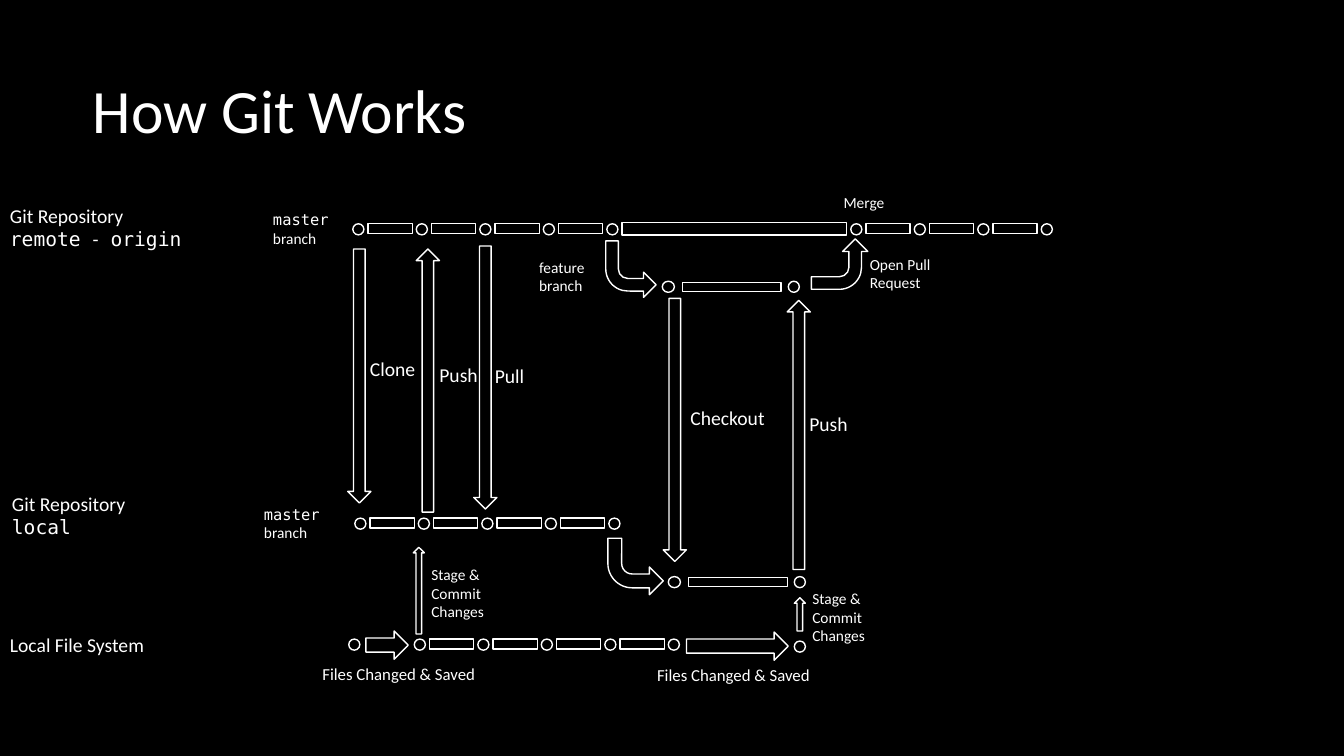
from pptx import Presentation
from pptx.dml.color import RGBColor
from pptx.enum.shapes import MSO_SHAPE as Geo
from pptx.enum.text import MSO_ANCHOR as Anchor, MSO_AUTO_SIZE as Fit, PP_ALIGN as Align
from pptx.util import Inches, Pt

CELL = 0.1
COLS, ROWS = 133.33, 75
DOT, BAR, STEP = 1.1, 4.4, 6.3
INK, BASE = "FFFFFF", "000000"
SANS, MONO = "Calibri", "DejaVu Sans Mono"
STAGE = "Stage & Commit Changes"
SAVED = "Files Changed & Saved"


def hue(code):
    return RGBColor.from_string(code)


def span(*cells):
    return [Inches(cell * CELL) for cell in cells]


def put(item, **form):
    for name, value in form.items():
        setattr(item, name, value)


def shape(slide, kind, box, turn=0, flip=False, adjust=()):
    item = slide.shapes.add_shape(kind, *span(*box))
    item.shadow.inherit = False
    item.fill.solid()
    item.fill.fore_color.rgb = hue(BASE)
    item.line.color.rgb = hue(INK)
    item.line.width = Pt(1)
    item.rotation = turn
    for index, value in enumerate(adjust):
        item.adjustments[index] = value
    if flip:
        item._element.spPr.xfrm.set("flipH", "1")


def bend(slide, box, turn=180):
    shape(slide, Geo.BENT_ARROW, box, turn, True, (0.25, 0.25, 0.25, 0.438))


def text(slide, box, lines, size):
    frame = slide.shapes.add_textbox(*span(*box)).text_frame
    put(frame, word_wrap=True, auto_size=Fit.SHAPE_TO_FIT_TEXT)
    for index, line in enumerate(lines.split("\n")):
        para = frame.paragraphs[0] if index == 0 else frame.add_paragraph()
        for place, part in enumerate(line.split("`")):
            if part:
                run = para.add_run()
                run.text = part
                put(run.font, name=MONO if place % 2 else SANS, size=Pt(size))
                run.font.color.rgb = hue(INK)


def dot(slide, x, y, wide=DOT):
    shape(slide, Geo.OVAL, (x, y, wide, DOT))


def bar(slide, x, y, wide=BAR, high=1):
    shape(slide, Geo.RECTANGLE, (x, y, wide, high))


def chain(slide, x, y, count):
    for index in range(count):
        left = x + index * STEP
        dot(slide, left, y)
        if index < count - 1:
            bar(slide, left + 1.5, y)


def side(slide, x, y):
    dot(slide, x, y, 1.2)
    bar(slide, x + 2, y + 0.1, 9.8, 0.9)
    dot(slide, x + 12.5, y)


def stage(slide, x, y, high, drop):
    shape(slide, Geo.UP_ARROW, (x, y, 1.1, high))
    text(slide, (x + 0.8, y + drop, 7.5, 6.5), STAGE, 11)


def edit(slide, x, y, wide, shift):
    shape(slide, Geo.RIGHT_ARROW, (x, y, wide, 2.8))
    text(slide, (x + shift, y + 2.8, 18, 3), SAVED, 12)


def head(slide, box):
    title = slide.shapes.title
    put(title, **dict(zip(("left", "top", "width", "height"), span(*box))))
    frame = title.text_frame
    put(frame, vertical_anchor=Anchor.MIDDLE, word_wrap=True, margin_left=0,
        margin_top=0, margin_right=0, margin_bottom=0)
    frame.text = "How Git Works"
    para = frame.paragraphs[0]
    put(para, alignment=Align.LEFT, line_spacing=0.9)
    put(para.font, name=SANS, size=Pt(44))
    para.font.color.rgb = hue(INK)


def remote(slide, x, y):
    text(slide, (x, y - 2.5, 20.5, 5.6), "Git Repository\n`remote `-` origin`", 14)
    text(slide, (x + 26.1, y - 1.8, 8.9, 4.6), "`master`\nbranch", 11)
    chain(slide, x + 35, y, 5)
    bar(slide, x + 61.7, y - 0.1, 22.3, 1.2)
    chain(slide, x + 84.4, y, 4)
    text(slide, (x + 82.7, y - 3.5, 7.4, 2.8), "Merge", 11)
    text(slide, (x + 52.5, y + 2.9, 8, 4.6), "feature branch", 11)
    bend(slide, (x + 60.1, y + 1.7, 5, 5.6))
    side(slide, x + 65.7, y + 5.7)
    bend(slide, (x + 80.8, y + 1.2, 5, 5.6), 90)
    text(slide, (x + 85.3, y + 2.6, 8.5, 4.6), "Open Pull Request", 11)


def local(slide, x, y):
    text(slide, (x + 0.2, y - 3.1, 13.6, 5.6), "Git Repository\n`local`", 14)
    text(slide, (x + 25.2, y - 1.8, 9.8, 4.6), "`master`\nbranch", 11)
    chain(slide, x + 35.2, y, 5)
    bend(slide, (x + 60.3, y + 2, 5.5, 5.6))
    side(slide, x + 66.3, y + 5.8)


def files(slide, x, y):
    text(slide, (x, y - 1.1, 16, 3.3), "Local File System", 14)
    dot(slide, x + 34.6, y)
    edit(slide, x + 36.3, y - 0.8, 4.2, -5.3)
    chain(slide, x + 41.1, y, 5)
    edit(slide, x + 68.1, y - 0.7, 10.1, -3.9)
    dot(slide, x + 78.8, y + 0.2)
    stage(slide, x + 41, y - 9.1, 8.6, 1.3)
    stage(slide, x + 78.8, y - 4.1, 3.3, -1.3)


def moves(slide, x, y):
    up, down = Geo.UP_ARROW, Geo.DOWN_ARROW
    for kind, left, top, high, word, right, drop in (
        (down, 0, 0.3, 25.2, "Clone", 1.2, 10.2),
        (up, 6.8, 0.3, 26.1, "Push", 1.3, 10.8),
        (down, 12.5, 0, 26.1, "Pull", 1.1, 11.2),
        (down, 31.3, 5.2, 26.1, "Checkout", 1.7, 10.2),
        (up, 43.6, 5.4, 26.7, "Push", 1.2, 10.6),
    ):
        shape(slide, kind, (x + left, y + top, 2.3, high))
        text(slide, (x + left + right, y + top + drop, 9.8, 3.3), word, 14)


def main():
    deck = Presentation()
    deck.slide_width, deck.slide_height = span(COLS, ROWS)
    slide = deck.slides.add_slide(deck.slide_layouts[5])
    slide.background.fill.solid()
    slide.background.fill.fore_color.rgb = hue(BASE)
    head(slide, (9.2, 4, 115, 14.5))
    remote(slide, 0, 22.2)
    local(slide, 0, 51.4)
    files(slide, 0, 63.4)
    moves(slide, 34.5, 24.4)
    deck.save("out.pptx")


if __name__ == "__main__":
    main()
